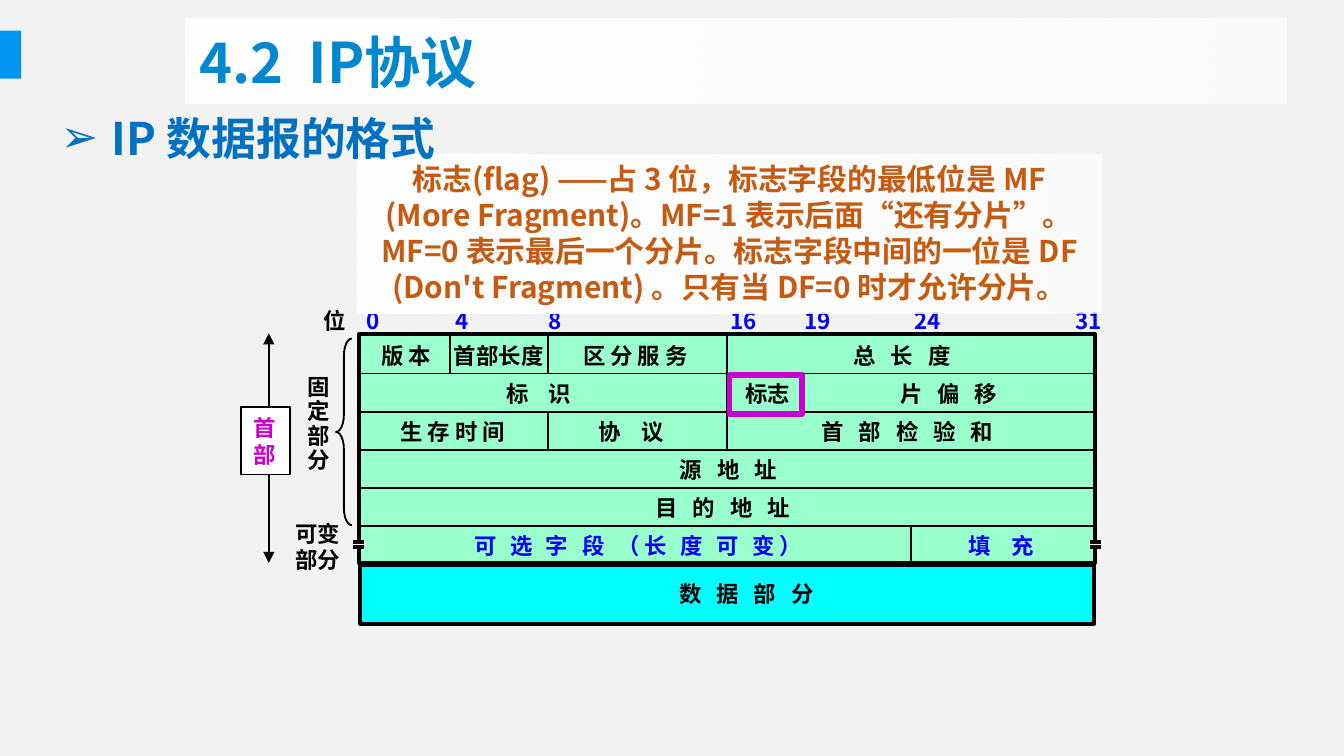
import dataclasses
import pptx
import pptx.dml.color
import pptx.enum.shapes
import pptx.enum.text
import pptx.oxml.ns
import pptx.util
from lxml import etree

Cm = pptx.util.Cm
Pt = pptx.util.Pt
qn = pptx.oxml.ns.qn
Kind = pptx.enum.shapes.MSO_SHAPE
Fit = pptx.enum.text.MSO_AUTO_SIZE
Side = pptx.enum.text.PP_ALIGN
Hold = pptx.enum.text.MSO_ANCHOR


@dataclasses.dataclass(frozen=True)
class Theme:
    font: str = "Noto Sans CJK SC"
    back: str = "F2F2F2"
    accent: str = "0095F0"
    title: str = "0087CD"
    head: str = "0070C0"
    note: str = "C55A11"
    ink: str = "000000"
    blue: str = "0000FF"
    pink: str = "CC00CC"
    white: str = "FFFFFF"
    mint: str = "99FFCC"
    cyan: str = "00FFFF"
    big: int = 30
    mid: int = 24
    note_size: int = 16
    small: int = 12


def rgb(hue):
    return pptx.dml.color.RGBColor.from_string(hue)


class Board:
    """Holds the theme and the current slide."""

    def __init__(self, theme, slide):
        self.theme, self.slide = theme, slide
        fill = slide.background.fill
        fill.solid()
        fill.fore_color.rgb = rgb(theme.back)

    def add_run(self, para, text, size, hue, spread=0):
        run = para.add_run()
        run.text = text
        look = {"name": self.theme.font, "size": Pt(size), "bold": True}
        for key, val in look.items():
            setattr(run.font, key, val)
        run.font.color.rgb = rgb(hue)
        props = run._r.get_or_add_rPr()
        etree.SubElement(props, qn("a:ea"), typeface=self.theme.font)
        if spread:
            props.set("spc", str(spread))

    def set_text(self, shape, text, size=None, hue=None, spread=0,
                 align=Side.LEFT, wrap=False, pitch=None):
        frame = shape.text_frame
        look = {"word_wrap": wrap, "auto_size": Fit.SHAPE_TO_FIT_TEXT,
                "vertical_anchor": Hold.TOP}
        for key, val in look.items():
            setattr(frame, key, val)
        for i, part in enumerate(text.split("\n")):
            para = frame.add_paragraph() if i else frame.paragraphs[0]
            para.alignment = align
            para.line_spacing = pitch
            self.add_run(para, part, size or self.theme.small,
                         hue or self.theme.ink, spread)

    def label(self, text, x, y, w, h=0.76, **look):
        box = self.slide.shapes.add_textbox(Cm(x), Cm(y), Cm(w), Cm(h))
        self.set_text(box, text, **look)

    def shape(self, x, y, w, h, fill=None, line=None, width=1, kind=Kind.RECTANGLE):
        shape = self.slide.shapes.add_shape(kind, Cm(x), Cm(y), Cm(w), Cm(h))
        shape.shadow.inherit = False
        if fill:
            shape.fill.solid()
            shape.fill.fore_color.rgb = rgb(fill)
        else:
            shape.fill.background()
        if line:
            shape.line.color.rgb = rgb(line)
            shape.line.width = Pt(width)
        else:
            shape.line.fill.background()
        return shape

    def line(self, x1, y1, x2, y2, width=1, heads=False):
        line = self.slide.shapes.add_connector(
            pptx.enum.shapes.MSO_CONNECTOR.STRAIGHT, Cm(x1), Cm(y1), Cm(x2), Cm(y2))
        line.line.color.rgb = rgb(self.theme.ink)
        line.line.width = Pt(width)
        props = line.element.spPr
        etree.SubElement(props, qn("a:effectLst"))
        if heads:
            for end in ("a:headEnd", "a:tailEnd"):
                etree.SubElement(props.find(qn("a:ln")), qn(end), type="triangle")

    def fade(self, shape):
        shape.fill.gradient()
        shape.fill.gradient_angle = 0
        for stop in shape.fill.gradient_stops:
            stop.color.rgb = rgb(self.theme.white)
        last = list(shape.element.spPr.iter(qn("a:srgbClr")))[-1]
        etree.SubElement(last, qn("a:alpha"), val="67000")

    def holder(self, index, x, y, w, h):
        """Place a placeholder in front of what is drawn so far."""
        shape = self.slide.placeholders[index]
        spot = {"left": x, "top": y, "width": w, "height": h}
        for key, val in spot.items():
            setattr(shape, key, Cm(val))
        shape.element.getparent().append(shape.element)
        return shape

    def title(self, parts, *spot):
        shape = self.holder(0, *spot)
        self.fade(shape)
        shape.text_frame.vertical_anchor = Hold.MIDDLE
        para = shape.text_frame.paragraphs[0]
        para.alignment = Side.LEFT
        for text, spread in parts:
            self.add_run(para, text, self.theme.big, self.theme.title, spread)

    def bullet(self, text, *spot):
        shape = self.holder(1, *spot)
        para = shape.text_frame.paragraphs[0]
        props = para._p.get_or_add_pPr()
        props.set("marL", str(Cm(0.97)))
        props.set("indent", str(-Cm(0.97)))
        etree.SubElement(props, qn("a:buChar"), char="➢")
        para.space_before = Pt(0)
        self.set_text(shape, text, self.theme.mid, self.theme.head, wrap=True)


LEFT, RIGHT, TOP, ROW = 6.78, 20.73, 6.34, 0.72
WIDE, LOOSE = 270, 400  # letter spacing, hundredths of a point

# Text, row, left, width, letter spacing
FIELDS = [
    ("版 本", 0, 6.96, 1.5, 0), ("首部长度", 0, 8.33, 2.21, 0),
    ("区 分 服 务", 0, 10.77, 2.62, 0), ("总 长 度", 0, 15.88, 2.57, WIDE),
    ("标 识", 1, 9.32, 1.88, LOOSE), ("标志", 1, 13.84, 1.37, 0),
    ("片 偏 移", 1, 16.76, 2.57, WIDE), ("生 存 时 间", 2, 7.32, 2.62, 0),
    ("协 议", 2, 11.07, 1.88, LOOSE), ("首 部 检 验 和", 2, 15.27, 4.19, WIDE),
    ("源 地 址", 3, 12.6, 2.57, WIDE), ("目 的 地 址", 4, 12.14, 3.38, WIDE),
    ("可 选 字 段 （长 度 可 变）", 5, 8.71, 7.37, 230),
    ("填 充", 5, 18.06, 1.88, LOOSE),
]
# Left, first row edge, last row edge
SPLITS = [(8.51, 0, 1), (10.36, 0, 1), (10.36, 2, 3), (13.74, 0, 3),
          (17.22, 5, 6), (15.14, 1, 2)]
BITS = [(0, 6.68), (4, 8.36), (8, 10.11), (16, 13.56), (19, 14.96),
        (24, 17.04), (31, 20.07)]
NOTE = ("标志(flag) ——占 3 位，标志字段的最低位是 MF (More Fragment)。"
        "MF=1 表示后面“还有分片”。MF=0 表示最后一个分片。"
        "标志字段中间的一位是 DF (Don't Fragment) 。只有当 DF=0 时才允许分片。")


def edge(row):
    return TOP + ROW * row


def main():
    deck = pptx.Presentation()
    deck.slide_width, deck.slide_height = Cm(25.4), Cm(14.29)
    theme = Theme()
    board = Board(theme, deck.slides.add_slide(deck.slide_layouts[1]))

    # Accent bar
    board.shape(-0.03, 0.58, 0.43, 0.91, theme.accent)

    # Header grid and data block
    board.shape(LEFT, 6.32, 13.92, 4.32, theme.mint, theme.ink, 2)
    board.shape(6.81, 10.67, 13.87, 1.12, theme.cyan, theme.ink, 2.25)
    for row in range(1, 6):
        board.line(LEFT, edge(row), RIGHT, edge(row))
    for x, first, last in SPLITS:
        board.line(x, edge(first), x, edge(last))

    # Bit numbers and field names
    board.label("位", 5.87, 5.69, 0.94)
    for bit, x in BITS:
        board.label(str(bit), x, 5.69, 1.04 if bit > 9 else 0.76, hue=theme.blue)
    for text, row, x, w, spread in FIELDS:
        hue = theme.blue if row == 5 else theme.ink
        board.label(text, x, edge(row), w, hue=hue, spread=spread)
    board.label("数 据 部 分", 11.53, 10.85, 5.16, spread=WIDE,
                align=Side.CENTER, wrap=True)

    # Break marks on both borders
    for x in (6.68, 20.6):
        board.shape(x, 10.22, 0.23, 0.1, theme.white)
        for y in (10.24, 10.34):
            board.line(x, y, x + 0.2, y, 2)

    # Span of the header
    board.label("固\n定\n部\n分", 5.56, 6.99, 0.94, 2.11, pitch=0.9)
    board.label("可变\n部分", 5.33, 9.7, 1.37, 1.27)
    brace = board.shape(6.35, 6.4, 0.3, 3.53, line=theme.ink, kind=Kind.LEFT_BRACE)
    brace.adjustments[0] = 1.08
    board.line(5.08, 6.3, 5.08, 10.64, heads=True)
    span = board.shape(4.55, 7.7, 0.94, 1.27, theme.white, theme.ink)
    board.set_text(span, "首\n部", hue=theme.pink)

    # Note and the field it explains
    note = board.shape(6.76, 2.92, 14.05, 3)
    board.fade(note)
    board.set_text(note, NOTE, theme.note_size, theme.note,
                   align=Side.CENTER, wrap=True)
    board.shape(13.79, 7.09, 1.37, 0.74, line=theme.pink, width=3)

    # Title and heading
    board.title([("4.2", 0), (" ", 670), ("IP协议", 0)], 3.51, 0.36, 20.8, 1.6)
    board.bullet("IP 数据报的格式", 0.89, 1.96, 23.39, 1.27)

    deck.save("out.pptx")


if __name__ == "__main__":
    main()
